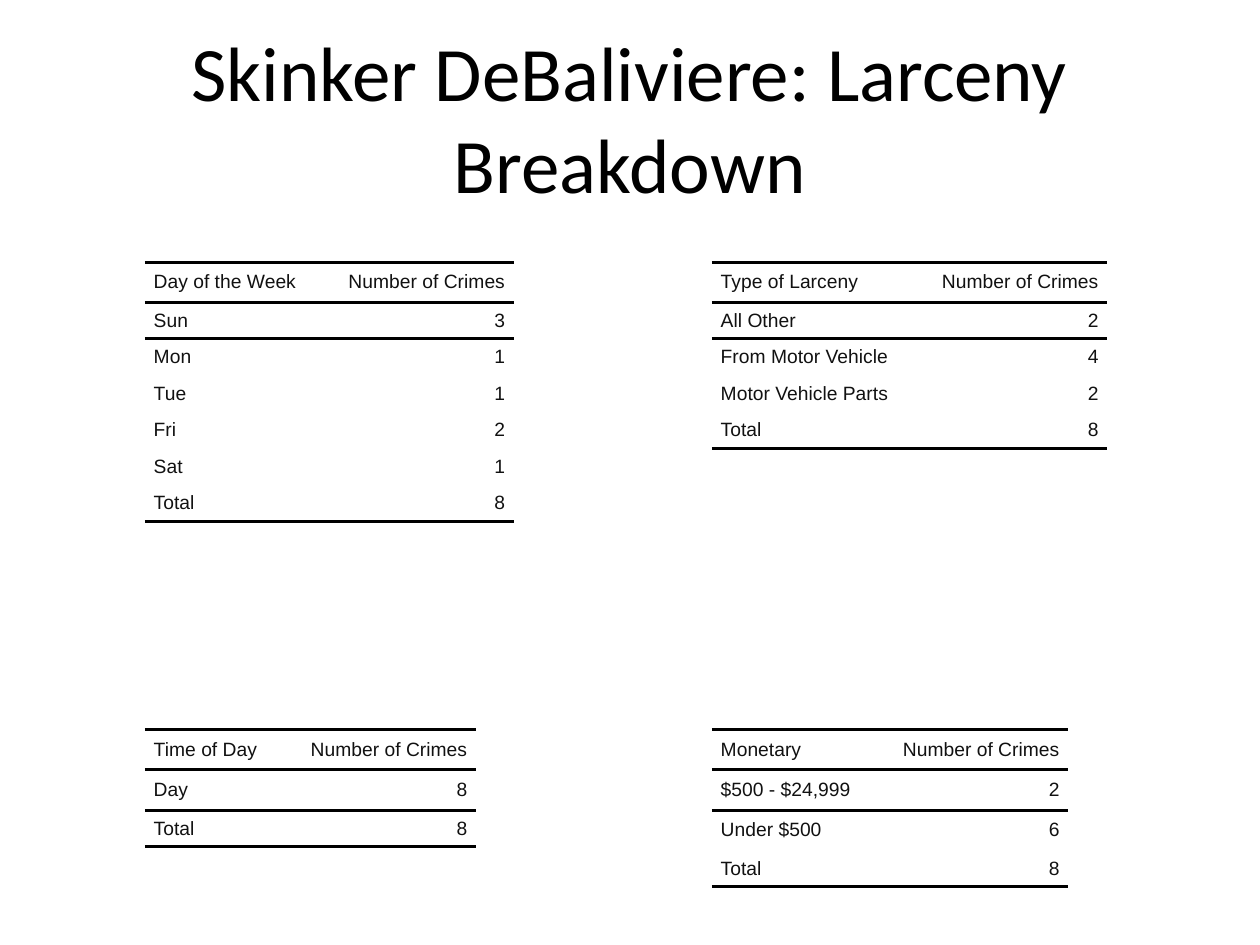
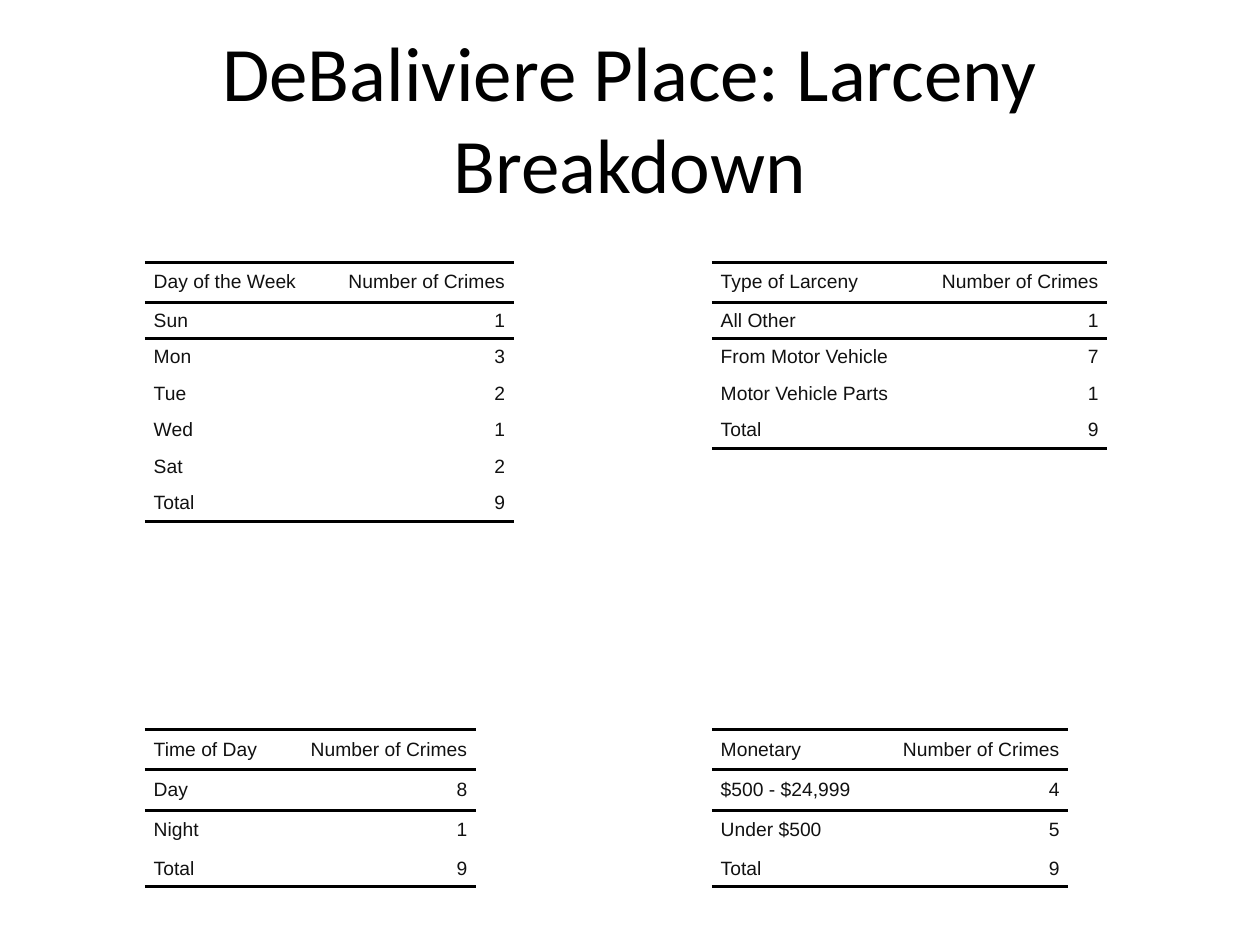
from collections import namedtuple

from pptx import Presentation
from pptx.dml.color import RGBColor
from pptx.enum.text import MSO_ANCHOR, MSO_AUTO_SIZE, PP_ALIGN
from pptx.oxml.ns import qn
from pptx.util import Inches, Pt
from lxml import etree

BLACK = RGBColor(0x00, 0x00, 0x00)
INK = RGBColor(0x11, 0x11, 0x11)
LEFT, CENTER, RIGHT = PP_ALIGN.LEFT, PP_ALIGN.CENTER, PP_ALIGN.RIGHT
MIDDLE = MSO_ANCHOR.MIDDLE
NO_AUTOFIT = MSO_AUTO_SIZE.NONE

TITLE_ONLY = 5
NO_GRID_STYLE = "{2D5ABB26-0587-4C30-8999-92F81FD0307C}"
COUNT_HEADING = "Number of Crimes"
COUNT_WIDTH = 1.52
HEADER_HEIGHT = 0.32
TOTAL_HEIGHT = 0.29
TEXT_INDENT = Inches(0.07)
RULE_WIDTH = Pt(2)

LEFT_COLUMN, RIGHT_COLUMN = 1.15, 5.65
UPPER_ROW, LOWER_ROW = 2.08, 5.79

TableLayout = namedtuple("TableLayout", "left top label_width body_height")
TABLE_LAYOUTS = {
    "Day of the Week": TableLayout(LEFT_COLUMN, UPPER_ROW, 1.41, 0.29),
    "Time of Day": TableLayout(LEFT_COLUMN, LOWER_ROW, 1.11, 0.32),
    "Type of Larceny": TableLayout(RIGHT_COLUMN, UPPER_ROW, 1.62, 0.29),
    "Monetary": TableLayout(RIGHT_COLUMN, LOWER_ROW, 1.31, 0.32),
}

NEIGHBORHOODS = {
    "Skinker DeBaliviere": {
        "Day of the Week": {"Sun": 3, "Mon": 1, "Tue": 1, "Fri": 2, "Sat": 1},
        "Time of Day": {"Day": 8},
        "Type of Larceny": {"All Other": 2, "From Motor Vehicle": 4, "Motor Vehicle Parts": 2},
        "Monetary": {"$500 - $24,999": 2, "Under $500": 6},
    },
    "DeBaliviere Place": {
        "Day of the Week": {"Sun": 1, "Mon": 3, "Tue": 2, "Wed": 1, "Sat": 2},
        "Time of Day": {"Day": 8, "Night": 1},
        "Type of Larceny": {"All Other": 1, "From Motor Vehicle": 7, "Motor Vehicle Parts": 1},
        "Monetary": {"$500 - $24,999": 4, "Under $500": 5},
    },
}


class CrimeReport:
    def __init__(self):
        self.deck = Presentation()
        self.deck.slide_width = Inches(10)
        self.deck.slide_height = Inches(7.5)
        self.page = None

    def add_page(self, title):
        self.page = self.deck.slides.add_slide(self.deck.slide_layouts[TITLE_ONLY])
        box = self.page.shapes.title
        box.left, box.top = Inches(0.5), Inches(0.3)
        box.width, box.height = Inches(9), Inches(1.25)
        frame = box.text_frame
        frame.auto_size = NO_AUTOFIT
        frame.vertical_anchor = MIDDLE
        self.add_text(frame.paragraphs[0], title, CENTER, "Calibri", 44, BLACK)

    def add_text(self, para, text, align, font, size, color):
        para.alignment = align
        span = para.add_run()
        span.text = text
        span.font.name = font
        span.font.size = Pt(size)
        span.font.color.rgb = color

    def add_rule(self, cell, side):
        line = etree.SubElement(cell._tc.get_or_add_tcPr(), qn(f"a:ln{side}"), w=str(RULE_WIDTH))
        fill = etree.SubElement(line, qn("a:solidFill"))
        etree.SubElement(fill, qn("a:srgbClr"), val=str(BLACK))

    def fill_cell(self, cell, text, align, sides):
        cell.margin_left = cell.margin_right = cell.margin_top = cell.margin_bottom = 0
        cell.vertical_anchor = MIDDLE
        para = cell.text_frame.paragraphs[0]
        properties = para._p.get_or_add_pPr()
        for side in ("marL", "marR"):
            properties.set(side, str(TEXT_INDENT))
        properties.set("indent", "0")
        self.add_text(para, text, align, "Arial", 11, INK)
        for side in sides:
            self.add_rule(cell, side)
        cell.fill.background()

    def add_count_table(self, heading, counts):
        layout = TABLE_LAYOUTS[heading]
        widths = (layout.label_width, COUNT_WIDTH)
        rows = [(heading, COUNT_HEADING), *counts.items(), ("Total", sum(counts.values()))]
        heights = [HEADER_HEIGHT] + [layout.body_height] * len(counts) + [TOTAL_HEIGHT]
        table = self.page.shapes.add_table(
            len(rows), len(widths), Inches(layout.left), Inches(layout.top),
            Inches(sum(widths)), Inches(sum(heights))).table
        table.first_row = table.horz_banding = False
        table._tbl.tblPr.find(qn("a:tableStyleId")).text = NO_GRID_STYLE
        for column, width in zip(table.columns, widths):
            column.width = Inches(width)
        rules = {0: "TB", 1: "T", len(rows) - 1: "B"}
        for index, (values, height) in enumerate(zip(rows, heights)):
            table.rows[index].height = Inches(height)
            for column, (value, align) in enumerate(zip(values, (LEFT, RIGHT))):
                self.fill_cell(table.cell(index, column), str(value), align, rules.get(index, ""))


def main():
    report = CrimeReport()
    for neighborhood, tables in NEIGHBORHOODS.items():
        report.add_page(f"{neighborhood}: Larceny Breakdown")
        for heading, counts in tables.items():
            report.add_count_table(heading, counts)
    report.deck.save("out.pptx")


if __name__ == "__main__":
    main()
